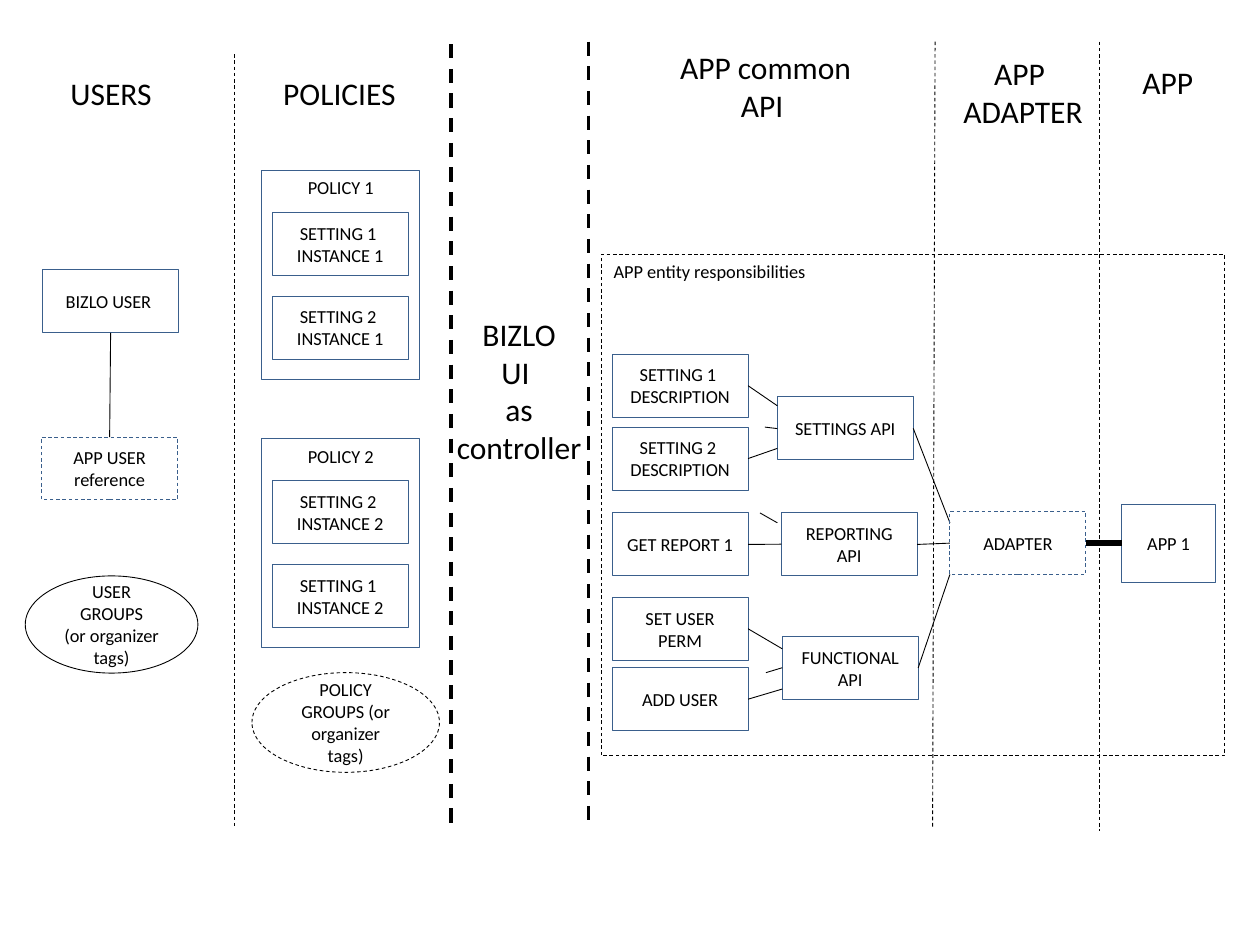
"""Build the slide that maps users, policies and app interfaces."""
from lxml.etree import SubElement
from pptx import Presentation
from pptx.dml.color import RGBColor
from pptx.enum.dml import MSO_LINE
from pptx.enum.shapes import MSO_CONNECTOR, MSO_SHAPE
from pptx.enum.text import MSO_ANCHOR, MSO_AUTO_SIZE, PP_ALIGN
from pptx.oxml.ns import qn
from pptx.util import Cm, Pt

BLACK = RGBColor(0x00, 0x00, 0x00)
BLUE = RGBColor(0x3A, 0x5F, 0x8C)
FONT = "Calibri"
BODY_SIZE, HEADING_SIZE = 10.5, 18
THIN, THICK = 0.5, 3
BOX_WIDTH, BOX_HEIGHT = 2.74, 1.27

HEADINGS = [
    (["USERS"], 1.17, 1.37, 2.16, 1.02, PP_ALIGN.LEFT),
    (["POLICIES"], 5.46, 1.37, 2.79, 1.02, PP_ALIGN.LEFT),
    (["BIZLO", "UI ", "as", "controller"], 8.94, 6.22, 3.05, 3.33, PP_ALIGN.CENTER),
    (["APP common\nAPI "], 13.44, 0.84, 3.99, 1.8, PP_ALIGN.CENTER),
    (["APP \nADAPTER"], 19.15, 0.97, 2.95, 1.8, PP_ALIGN.CENTER),
    (["APP"], 22.78, 1.14, 1.55, 1.02, PP_ALIGN.LEFT),
]
DIVIDERS = [
    (4.72, 1.09, 4.72, 16.71, THIN),
    (9.09, 0.89, 9.09, 16.76, 0),
    (11.86, 0.84, 11.86, 16.71, 0),
    (18.85, 0.84, 18.8, 16.71, THIN),
    (22.17, 0.84, 22.17, 16.76, THIN),
]
POLICY_LEFT, POLICY_WIDTH, POLICY_HEIGHT = 5.28, 3.18, 4.22
INSTANCE_LEFT, INSTANCE_OFFSETS = 5.49, (0.85, 2.54)
POLICIES = [
    ("POLICY 1", 3.43, [["SETTING 1 ", "INSTANCE 1"], ["SETTING 2 ", "INSTANCE 1"]]),
    ("POLICY 2", 8.84, [["SETTING 2 ", "INSTANCE 2"], ["SETTING 1 ", "INSTANCE 2"]]),
]
USER_TEXT, USER_LEFT, USER_TOP = "BIZLO USER ", 0.86, 5.44
REFERENCE_TEXT, REFERENCE_LEFT, REFERENCE_TOP = "APP USER reference", 0.84, 8.81
GROUPS = [
    (["USER GROUPS", "(or organizer tags)"], 0.51, 11.61, 3.48, 1.96, False),
    (["POLICY GROUPS (or organizer tags)"], 5.08, 13.56, 3.78, 2.01, True),
]
FUNCTION_LEFT, ADAPTER_LEFT, ADAPTER_TOP = 12.34, 19.15, 10.31
INTERFACES = [
    {"name": "SETTINGS API", "left": 15.67, "top": 8.0, "adapter_y": 10.54,
     "stub": (15.67, 8.64, 15.42, 8.61),
     "functions": [(["SETTING 1 ", "DESCRIPTION"], 7.14, 8.18),
                   (["SETTING 2 ", "DESCRIPTION"], 8.61, 9.04)]},
    {"name": "REPORTING API", "left": 15.75, "top": 10.34, "adapter_y": 10.95,
     "stub": (15.67, 10.54, 15.32, 10.34),
     "functions": [(["GET REPORT 1"], 10.34, 10.97)]},
    {"name": "FUNCTIONAL API", "left": 15.77, "top": 12.83, "adapter_y": 11.58,
     "stub": (15.77, 13.46, 15.44, 13.56),
     "functions": [(["SET USER PERM"], 12.04, 13.08),
                   (["ADD USER"], 13.46, 13.89)]},
]


def write_text(frame, paragraphs, size, alignment):
    for index, text in enumerate(paragraphs):
        paragraph = frame.paragraphs[0] if index == 0 else frame.add_paragraph()
        paragraph.alignment = alignment
        for number, line in enumerate(text.split("\n")):
            if number:
                paragraph.add_line_break()
            run = paragraph.add_run()
            run.text = line
            run.font.name = FONT
            run.font.size = Pt(size)
            run.font.color.rgb = BLACK


def add_box(slide, paragraphs, left, top, width=BOX_WIDTH, height=BOX_HEIGHT,
            kind=MSO_SHAPE.RECTANGLE, color=BLUE, dashed=False,
            anchor=MSO_ANCHOR.MIDDLE, alignment=PP_ALIGN.CENTER):
    shape = slide.shapes.add_shape(kind, Cm(left), Cm(top), Cm(width), Cm(height))
    shape.shadow.inherit = False
    shape.fill.background()
    shape.line.color.rgb = color
    shape.line.width = Pt(THIN)
    if dashed:
        shape.line.dash_style = MSO_LINE.DASH
    shape.text_frame.word_wrap = True
    shape.text_frame.vertical_anchor = anchor
    write_text(shape.text_frame, paragraphs, BODY_SIZE, alignment)


def add_line(slide, start_x, start_y, end_x, end_y, width=THIN, dashed=False):
    connector = slide.shapes.add_connector(
        MSO_CONNECTOR.STRAIGHT, Cm(start_x), Cm(start_y), Cm(end_x), Cm(end_y))
    connector.line.color.rgb = BLACK
    connector.line.width = Pt(width)
    if dashed:
        connector.line.dash_style = MSO_LINE.DASH
    SubElement(connector._element.spPr, qn("a:effectLst"))


def add_headings(slide):
    for paragraphs, left, top, width, height, alignment in HEADINGS:
        box = slide.shapes.add_textbox(Cm(left), Cm(top), Cm(width), Cm(height))
        box.text_frame.word_wrap = False
        box.text_frame.auto_size = MSO_AUTO_SIZE.SHAPE_TO_FIT_TEXT
        write_text(box.text_frame, paragraphs, HEADING_SIZE, alignment)
    for divider in DIVIDERS:
        add_line(slide, *divider, dashed=True)


def add_users_and_policies(slide):
    add_box(slide, [USER_TEXT], USER_LEFT, USER_TOP)
    add_box(slide, [REFERENCE_TEXT], REFERENCE_LEFT, REFERENCE_TOP, dashed=True)
    add_line(slide, USER_LEFT + BOX_WIDTH / 2, USER_TOP + BOX_HEIGHT,
             REFERENCE_LEFT + BOX_WIDTH / 2, REFERENCE_TOP)
    for name, top, instances in POLICIES:
        add_box(slide, [name], POLICY_LEFT, top, POLICY_WIDTH, POLICY_HEIGHT,
                anchor=MSO_ANCHOR.TOP)
        for paragraphs, offset in zip(instances, INSTANCE_OFFSETS):
            add_box(slide, paragraphs, INSTANCE_LEFT, top + offset)
    for paragraphs, left, top, width, height, dashed in GROUPS:
        add_box(slide, paragraphs, left, top, width, height,
                kind=MSO_SHAPE.OVAL, color=BLACK, dashed=dashed)


def add_app(slide):
    add_box(slide, ["APP entity responsibilities"], 12.12, 5.13, 12.57, 10.11,
            color=BLACK, dashed=True, anchor=MSO_ANCHOR.TOP, alignment=PP_ALIGN.LEFT)
    for interface in INTERFACES:
        left, top = interface["left"], interface["top"]
        add_box(slide, [interface["name"]], left, top)
        add_line(slide, *interface["stub"])
        add_line(slide, left + BOX_WIDTH, top + BOX_HEIGHT / 2,
                 ADAPTER_LEFT, interface["adapter_y"])
        for paragraphs, function_top, end_y in interface["functions"]:
            add_box(slide, paragraphs, FUNCTION_LEFT, function_top)
            add_line(slide, FUNCTION_LEFT + BOX_WIDTH, function_top + BOX_HEIGHT / 2,
                     left, end_y)
    add_box(slide, ["ADAPTER"], ADAPTER_LEFT, ADAPTER_TOP, dashed=True)
    add_box(slide, ["APP 1"], 22.61, 10.16, 1.9, 1.58)
    adapter_middle = ADAPTER_TOP + BOX_HEIGHT / 2
    add_line(slide, ADAPTER_LEFT + BOX_WIDTH, adapter_middle, 22.61, adapter_middle, THICK)


def main():
    presentation = Presentation()
    presentation.slide_width, presentation.slide_height = Cm(25.4), Cm(19.05)
    slide = presentation.slides.add_slide(presentation.slide_layouts[6])
    add_headings(slide)
    add_users_and_policies(slide)
    add_app(slide)
    presentation.save("out.pptx")


if __name__ == "__main__":
    main()
